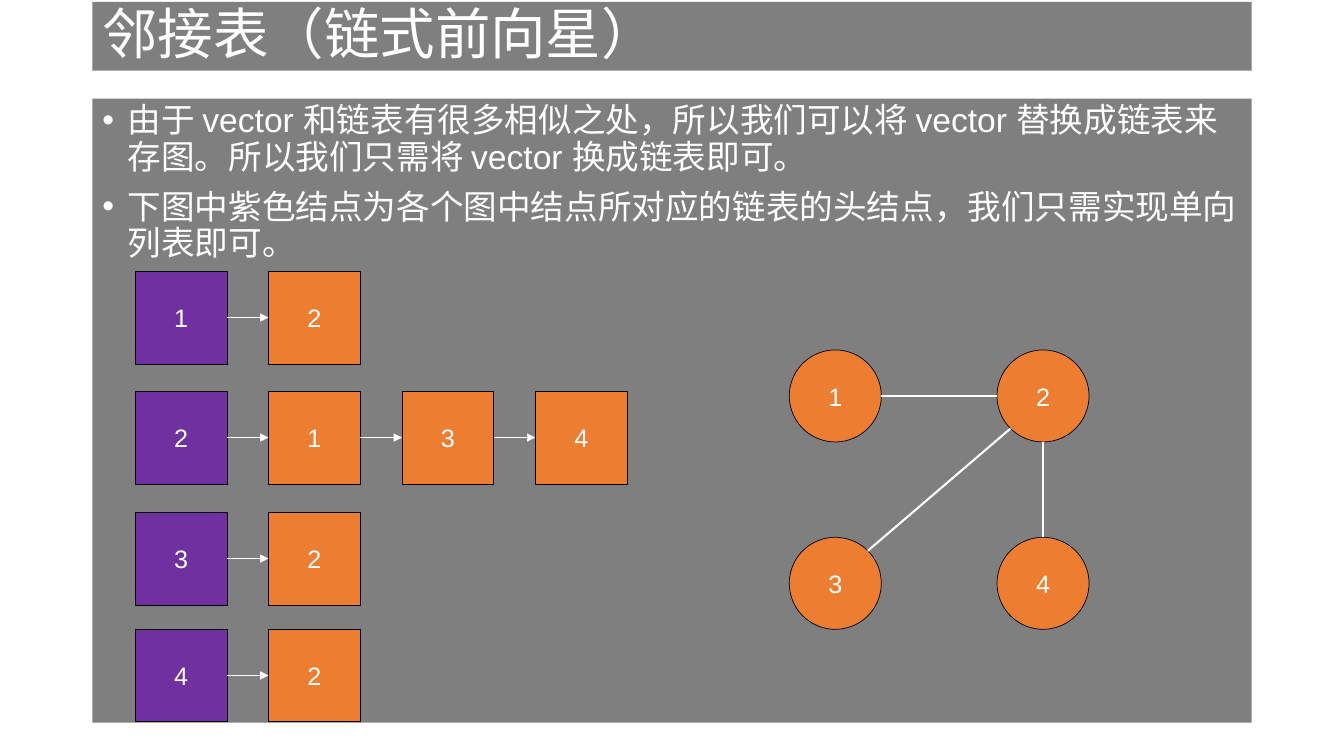
import math

import lxml.etree
import pptx
import pptx.dml.color
import pptx.enum.shapes
import pptx.enum.text
import pptx.oxml.ns
import pptx.util

Pt = pptx.util.Pt
SHAPES = pptx.enum.shapes.MSO_SHAPE
ALIGN = pptx.enum.text.PP_ALIGN
ANCHOR = pptx.enum.text.MSO_ANCHOR
qn = pptx.oxml.ns.qn

# Content
HEADING = "邻接表（链式前向星）"
POINTS = [
    "由于 vector 和链表有很多相似之处，所以我们可以将 vector 替换成链表来存图。所以我们只需将 vector 换成链表即可。",
    "下图中紫色结点为各个图中结点所对应的链表的头结点，我们只需实现单向列表即可。",
]
LINKED_LISTS = [  # row top, head node followed by its neighbours
    (193.7, ["1", "2"]),
    (279.4, ["2", "1", "3", "4"]),
    (365.8, ["3", "2"]),
    (449.3, ["4", "2"]),
]
GRAPH_NODES = {"1": (0, 0), "2": (1, 0), "3": (0, 1), "4": (1, 1)}  # column, row
GRAPH_EDGES = [("1", "2"), ("2", "4"), ("3", "2")]

# Layout and colours
BAND_LEFT, BAND_WIDTH = 66, 828
BOX_LEFT, BOX_STEP, BOX_WIDTH, BOX_HEIGHT = 96.5, 95.3, 65.7, 66.3
GRAPH_LEFT, GRAPH_TOP, GRAPH_DX, GRAPH_DY = 563.8, 250, 148.4, 133.8
DIAMETER = 65.7
WHITE, BLACK, ORANGE, PURPLE = "FFFFFF", "000000", "ED7D31", "7030A0"


def paint(color_format, color):
    color_format.rgb = pptx.dml.color.RGBColor.from_string(color)


def style_font(paragraph, size):
    paragraph.font.size = Pt(size)
    paragraph.font.name = "Arial"
    paint(paragraph.font.color, WHITE)


def set_band(band, top, height, anchor):
    band.left, band.top = Pt(BAND_LEFT), Pt(top)
    band.width, band.height = Pt(BAND_WIDTH), Pt(height)
    band.fill.solid()
    paint(band.fill.fore_color, BLACK)
    color = band.fill._xPr.find(qn("a:solidFill"))[0]
    lxml.etree.SubElement(color, qn("a:alpha"), val="50000")
    band.text_frame.auto_size = pptx.enum.text.MSO_AUTO_SIZE.NONE
    band.text_frame.vertical_anchor = anchor


def add_node(kind, label, left, top, width, height, color):
    node = slide.shapes.add_shape(kind, Pt(left), Pt(top), Pt(width), Pt(height))
    node.shadow.inherit = False
    node.fill.solid()
    paint(node.fill.fore_color, color)
    paint(node.line.color, BLACK)
    node.line.width = Pt(0.5)
    node.text_frame.text = label
    node.text_frame.vertical_anchor = ANCHOR.MIDDLE
    paragraph = node.text_frame.paragraphs[0]
    paragraph.alignment = ALIGN.CENTER
    style_font(paragraph, 18)
    return node


def add_link(x1, y1, x2, y2, width):
    link = slide.shapes.add_connector(
        pptx.enum.shapes.MSO_CONNECTOR.STRAIGHT, Pt(x1), Pt(y1), Pt(x2), Pt(y2))
    paint(link.line.color, WHITE)
    link.line.width = Pt(width)
    lxml.etree.SubElement(link._element.spPr, qn("a:effectLst"))
    return link


def sign(value):
    return (value > 0) - (value < 0)


deck = pptx.Presentation()
deck.slide_width, deck.slide_height = Pt(960), Pt(540)
slide = deck.slides.add_slide(deck.slide_layouts[1])

# Title
heading = slide.shapes.title
set_band(heading, 1.4, 49, ANCHOR.MIDDLE)
heading.text_frame.text = HEADING
heading_line = heading.text_frame.paragraphs[0]
heading_line.alignment = ALIGN.LEFT
heading_line.line_spacing = 0.9
style_font(heading_line, 39.6)

# Bulleted explanation
explanation = slide.placeholders[1]
set_band(explanation, 70.5, 445.7, ANCHOR.TOP)
explanation.text_frame.text = "\n".join(POINTS)
for point in explanation.text_frame.paragraphs:
    point.line_spacing = 0.9
    point.space_before = Pt(10)
    style_font(point, 24)
    properties = point._p.get_or_add_pPr()
    properties.set("marL", str(Pt(18)))
    properties.set("indent", str(-Pt(18)))

# Linked lists: purple head, orange neighbours
for top, labels in LINKED_LISTS:
    previous = None
    for column, label in enumerate(labels):
        left = BOX_LEFT + column * BOX_STEP
        box = add_node(SHAPES.RECTANGLE, label, left, top, BOX_WIDTH, BOX_HEIGHT,
                       ORANGE if column else PURPLE)
        if previous:
            middle = top + BOX_HEIGHT / 2
            arrow = add_link(left - BOX_STEP + BOX_WIDTH, middle, left, middle, 0.75)
            arrow.begin_connect(previous, 3)
            arrow.end_connect(box, 1)
            lxml.etree.SubElement(arrow.line._get_or_add_ln(), qn("a:tailEnd"),
                                  type="triangle")
        previous = box

# Graph nodes
centers = {}
for label, (column, row) in GRAPH_NODES.items():
    left, top = GRAPH_LEFT + column * GRAPH_DX, GRAPH_TOP + row * GRAPH_DY
    add_node(SHAPES.OVAL, label, left, top, DIAMETER, DIAMETER, ORANGE)
    centers[label] = (left + DIAMETER / 2, top + DIAMETER / 2)

# Graph edges, from rim to rim at multiples of 45 degrees
for start, end in GRAPH_EDGES:
    (x1, y1), (x2, y2) = centers[start], centers[end]
    step_x, step_y = sign(x2 - x1), sign(y2 - y1)
    reach = DIAMETER / 2 / math.hypot(step_x, step_y)
    add_link(x1 + step_x * reach, y1 + step_y * reach,
             x2 - step_x * reach, y2 - step_y * reach, 1.5)

deck.save("out.pptx")
